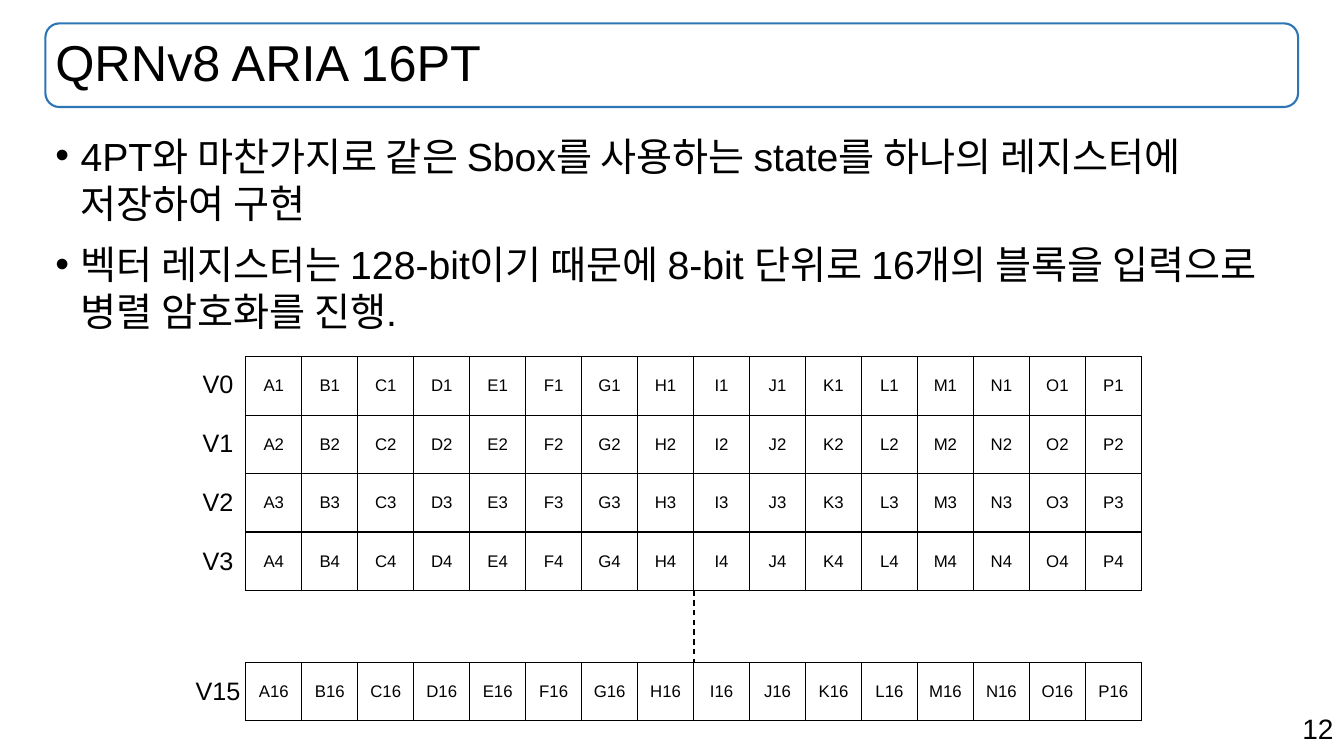
"""Build the slide on the sixteen-block register layout."""
import dataclasses

import lxml.etree
import pptx
import pptx.dml.color
import pptx.enum.dml
import pptx.enum.shapes
import pptx.enum.text
import pptx.oxml.ns
import pptx.util

Align = pptx.enum.text.PP_ALIGN
Anchor = pptx.enum.text.MSO_ANCHOR


@dataclasses.dataclass
class Theme:
    font: str = "Arial"
    ink: str = "000000"
    paper: str = "FFFFFF"
    frame: str = "2E75B6"
    title: int = 36
    body: int = 28
    page: int = 20
    label: int = 18
    cell: int = 12


def color(code):
    return pptx.dml.color.RGBColor.from_string(code)


def add(node, tag, **attrs):
    return lxml.etree.SubElement(node, pptx.oxml.ns.qn(tag), attrs)


class Board:
    def __init__(self, deck, theme):
        self.theme = theme
        self.col = deck.slide_width / 24
        self.row = pptx.util.Inches(0.58)
        self.slide = deck.slides.add_slide(deck.slide_layouts[6])

    def place(self, left, top, wide, high):
        return (round(left * self.col), round(top * self.row),
                round(wide * self.col), round(high * self.row))

    def style(self, para, size, align=Align.LEFT):
        para.alignment = align
        para.font.name = self.theme.font
        para.font.size = pptx.util.Pt(size)
        para.font.color.rgb = color(self.theme.ink)

    def text(self, box, words, size, align=Align.LEFT,
             anchor=Anchor.TOP, wrap=True, space=None):
        frame = self.slide.shapes.add_textbox(*self.place(*box)).text_frame
        frame.word_wrap = wrap
        frame.vertical_anchor = anchor
        para = frame.paragraphs[0]
        para.text = words
        para.line_spacing = space
        self.style(para, size, align)

    def bullets(self, box, items):
        frame = self.slide.shapes.add_textbox(*self.place(*box)).text_frame
        frame.word_wrap = True
        dent = pptx.util.Inches(0.25)
        for i, item in enumerate(items):
            para = frame.add_paragraph() if i else frame.paragraphs[0]
            para.text = item
            props = para._p.get_or_add_pPr()
            props.set("marL", str(dent))
            props.set("indent", str(-dent))
            add(props, "a:buFont", typeface=self.theme.font)
            add(props, "a:buChar", char="•")
            para.space_before = pptx.util.Pt(10 if i else 0)
            self.style(para, self.theme.body)

    def panel(self, box):
        kind = pptx.enum.shapes.MSO_SHAPE.ROUNDED_RECTANGLE
        shape = self.slide.shapes.add_shape(kind, *self.place(*box))
        shape.shadow.inherit = False
        shape.fill.background()
        shape.line.color.rgb = color(self.theme.frame)
        shape.line.width = pptx.util.Pt(1.5)

    def border(self, cell):
        props = cell._tc.get_or_add_tcPr()
        for side in "LRTB":
            line = add(props, f"a:ln{side}", w=str(pptx.util.Pt(1)))
            add(add(line, "a:solidFill"), "a:srgbClr", val=self.theme.ink)

    def table(self, left, top, rows):
        high, wide = len(rows), len(rows[0])
        box = self.place(left, top, wide, high)
        table = self.slide.shapes.add_table(high, wide, *box).table
        table.first_row = table.horz_banding = False
        for r, row in enumerate(rows):
            for c, words in enumerate(row):
                cell = table.cell(r, c)
                cell.text = words
                cell.vertical_anchor = Anchor.MIDDLE
                self.border(cell)
                cell.fill.solid()
                cell.fill.fore_color.rgb = color(self.theme.paper)
                self.style(cell.text_frame.paragraphs[0],
                           self.theme.cell, Align.CENTER)

    def label(self, mid, top, words):
        wide = 0.42 + 0.25 * len(words)
        self.text((mid - wide / 2, top, wide, 0.69), words,
                  self.theme.label, wrap=False)

    def dash(self, left, top, end):
        x, y, _, high = self.place(left, top, 0, end - top)
        kind = pptx.enum.shapes.MSO_CONNECTOR.STRAIGHT
        link = self.slide.shapes.add_connector(kind, x, y, x, y + high)
        link.line.color.rgb = color(self.theme.ink)
        link.line.width = pptx.util.Pt(1)
        link.line.dash_style = pptx.enum.dml.MSO_LINE.DASH
        add(link._element.spPr, "a:effectLst")


def main():
    deck = pptx.Presentation()
    deck.slide_width = pptx.util.Inches(13.33)
    deck.slide_height = pptx.util.Inches(7.5)
    theme = Theme()
    board = Board(deck, theme)

    board.text((16.97, 12.09, 7.02, 0.76), "12", theme.page, Align.RIGHT)
    head = (0.81, 0.4, 22.37, 1.43)
    board.panel(head)
    board.text(head, "QRNv8 ARIA 16PT", theme.title,
               anchor=Anchor.MIDDLE, space=0.9)
    board.bullets((0.81, 2.17, 22.37, 9.53), [
        "4PT와 마찬가지로 같은 Sbox를 사용하는 state를 하나의 레지스터에 저장하여 구현",
        "벡터 레지스터는 128-bit이기 때문에 8-bit 단위로 16개의 블록을 입력으로 병렬 암호화를 진행.",
    ])

    left, top, last, count = 4.39, 6.1, 11.33, 4
    rows = [[f"{name}{n}" for name in "ABCDEFGHIJKLMNOP"]
            for n in [*range(1, count + 1), 16]]
    board.table(left, top, rows[:count])
    board.table(left, last, rows[count:])
    for i in range(count):
        board.label(3.9, top + 0.12 + 1.01 * i, f"V{i}")
    board.label(3.9, last + 0.14, "V15")
    board.dash(left + 8, top + count, last)
    deck.save("out.pptx")


if __name__ == "__main__":
    main()
